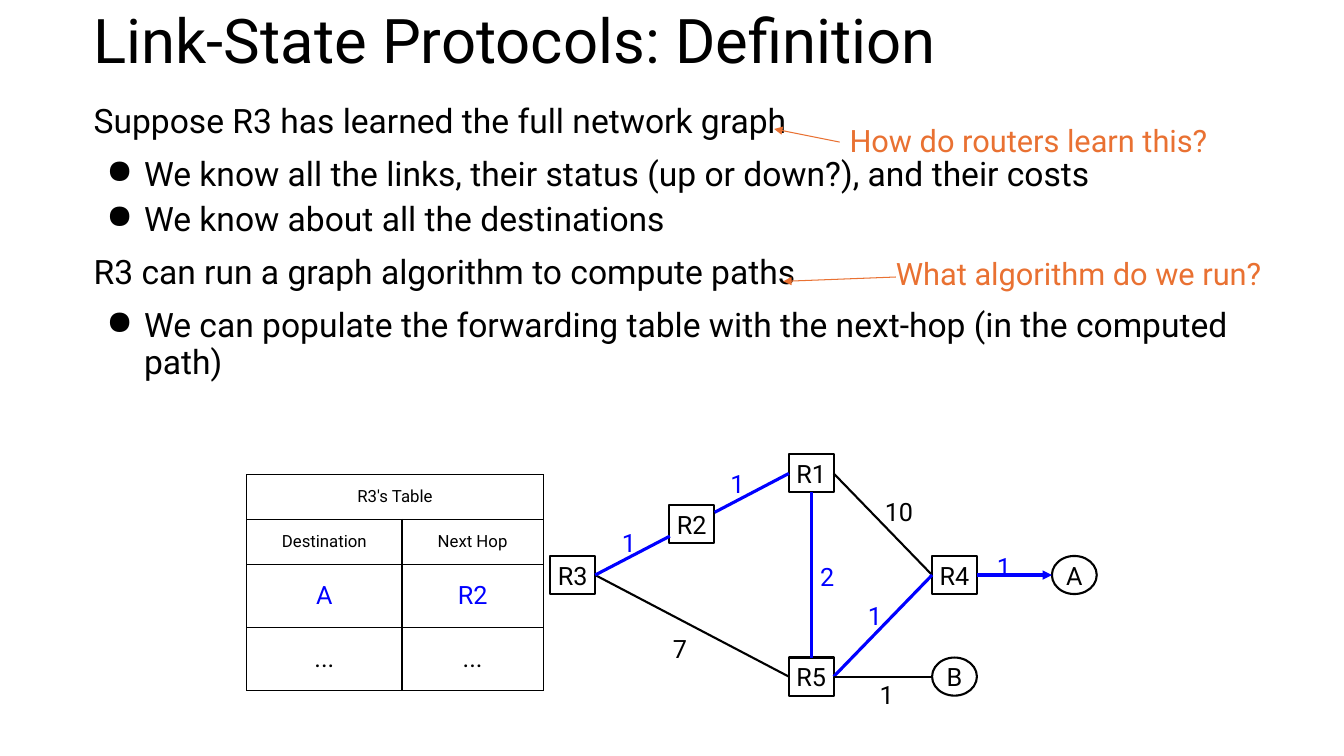
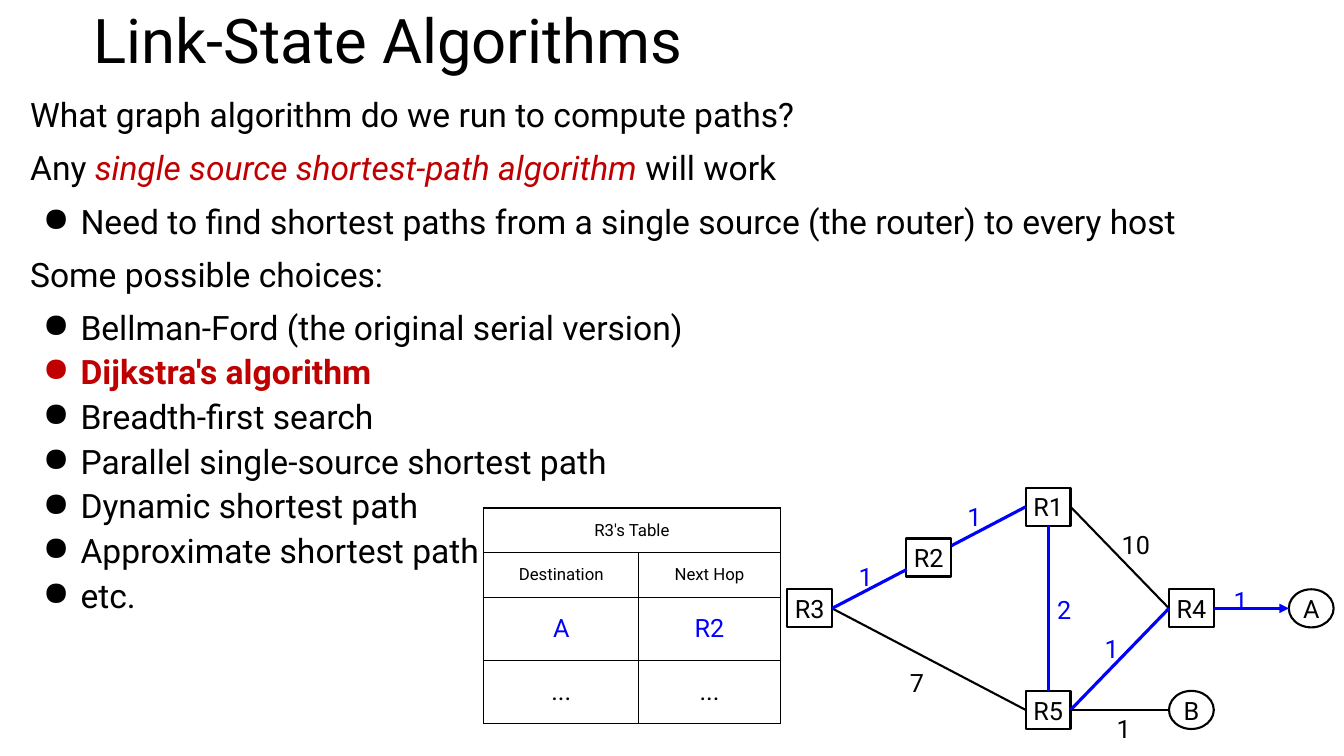
from lxml import etree
from pptx import Presentation
from pptx.dml.color import RGBColor
from pptx.enum.shapes import MSO_CONNECTOR, MSO_SHAPE
from pptx.enum.text import MSO_ANCHOR, MSO_AUTO_SIZE, PP_ALIGN
from pptx.oxml.ns import qn
from pptx.util import Cm, Pt

BLACK, WHITE, BLUE = "000000", "FFFFFF", "0000FF"
ORANGE, RED = "E97132", "C00000"
TOP, LEFT, BOTTOM, RIGHT = range(4)

# Network layout, in cm from the top left corner of the forwarding table
NODE_W, NODE_H = 1.13, 0.96
COLUMNS = [7.65, 10.65, 13.66, 17.27, 20.29]
ROW_TOP, ROW_STEP = -0.51, 1.28
ROUTERS = {"R3": (0, 2), "R2": (1, 1), "R1": (2, 0), "R5": (2, 4), "R4": (3, 2)}
HOSTS = {"A": (4, 2), "B": (3, 4)}
# Each end is a node with its side, or a point
LINKS = [
    ((11.79, 0.95), ("R1", LEFT), BLUE),
    (("R3", RIGHT), ("R5", LEFT), BLACK),
    (("R5", TOP), ("R1", BOTTOM), BLUE),
    (("R4", LEFT), ("R1", RIGHT), BLACK),
    (("R5", RIGHT), ("R4", LEFT), BLUE),
    (("R3", RIGHT), (10.66, 1.55), BLUE),
    (("R4", RIGHT), ("A", LEFT), BLUE),
    (("R5", RIGHT), ("B", LEFT), BLACK),
]
COSTS = [
    ("1", 18.9, 1.83, BLUE), ("1", 9.45, 1.22, BLUE), ("1", 12.19, -0.28, BLUE),
    ("7", 10.74, 3.89, BLACK), ("2", 14.45, 2.06, BLUE), ("1", 15.65, 3.05, BLUE),
    ("10", 16.08, 0.43, BLACK), ("1", 15.95, 5.05, BLACK),
]
TABLE_COLUMNS = [3.91, 3.56]
# Height, text size, colour and cells of each row
TABLE_ROWS = [
    (1.13, 12, BLACK, ["R3's Table", ""]),
    (1.13, 12, BLACK, ["Destination", "Next Hop"]),
    (1.59, 18, BLUE, ["A", "R2"]),
    (1.59, 18, BLACK, ["...", "..."]),
]


def colour(hex_code):
    return RGBColor.from_string(hex_code)


def write(paragraph, text, size=18, color=BLACK, bold=False, italic=False,
          align=PP_ALIGN.LEFT, spacing=None, before=0, after=0):
    """Add a run to a paragraph and set the paragraph's format."""
    run = paragraph.add_run()
    run.text = text
    font = run.font
    font.name, font.size, font.bold, font.italic = "Roboto", Pt(size), bold, italic
    font.color.rgb = colour(color)
    paragraph.alignment = align
    paragraph.line_spacing = spacing
    paragraph.space_before, paragraph.space_after = Pt(before), Pt(after)


def set_bullet(paragraph):
    properties = paragraph._p.get_or_add_pPr()
    properties.set("marL", str(Cm(1.27)))
    properties.set("indent", str(-Cm(0.95)))
    etree.SubElement(properties, qn("a:buChar")).set("char", "●")


def set_frame(frame, inset=0.0, anchor=MSO_ANCHOR.TOP):
    frame.word_wrap = True
    frame.auto_size = MSO_AUTO_SIZE.NONE
    frame.vertical_anchor = anchor
    frame.margin_left = frame.margin_right = Cm(inset)
    frame.margin_top = frame.margin_bottom = Cm(inset)
    return frame


def set_borders(cell):
    properties = cell._tc.get_or_add_tcPr()
    for position, side in enumerate(("lnL", "lnR", "lnT", "lnB")):
        border = etree.Element(qn("a:" + side), w=str(Pt(1)))
        fill = etree.SubElement(border, qn("a:solidFill"))
        etree.SubElement(fill, qn("a:srgbClr")).set("val", BLACK)
        properties.insert(position, border)


class Deck:
    """Holds the shared style and the slide being built."""

    def __init__(self):
        self.presentation = Presentation()
        self.presentation.slide_width = Cm(33.87)
        self.presentation.slide_height = Cm(19.05)
        self.slide = None

    def add_slide(self, title):
        layout = self.presentation.slide_layouts[5]
        self.slide = self.presentation.slides.add_slide(layout)
        heading = self.slide.shapes.title
        heading.left, heading.top = Cm(2.11), Cm(0)
        heading.width, heading.height = Cm(29.64), Cm(2.31)
        frame = set_frame(heading.text_frame, inset=0.25)
        write(frame.paragraphs[0], title, size=44, spacing=0.9)

    def text_box(self, left, top, width, height, inset=0.0):
        box = self.slide.shapes.add_textbox(Cm(left), Cm(top), Cm(width), Cm(height))
        return set_frame(box.text_frame, inset)

    def body(self, left, top, height, entries):
        """Each entry is (is bullet, runs); a run is (text, format)."""
        frame = self.text_box(left, top, 29.64, height, inset=0.25)
        after_bullet = False
        for index, (is_bullet, runs) in enumerate(entries):
            paragraph = frame.add_paragraph() if index else frame.paragraphs[0]
            before = 0 if is_bullet and after_bullet else 6
            for text, style in runs:
                write(paragraph, text, size=24, spacing=0.9, before=before, after=6, **style)
            if is_bullet:
                set_bullet(paragraph)
            after_bullet = is_bullet

    def line(self, start, end, color, width, arrow=False):
        points = [Cm(value) for value in (*start, *end)]
        connector = self.slide.shapes.add_connector(MSO_CONNECTOR.STRAIGHT, *points)
        connector.line.color.rgb = colour(color)
        connector.line.width = Pt(width)
        if arrow:
            outline = connector.line._get_or_add_ln()
            etree.SubElement(outline, qn("a:tailEnd")).set("type", "triangle")
        etree.SubElement(connector._element.spPr, qn("a:effectLst"))
        return connector

    def question(self, text, left, top, width, arrow_start, arrow_end):
        self.line(arrow_start, arrow_end, ORANGE, 0.75, arrow=True)
        frame = self.text_box(left, top, width, 0.94)
        write(frame.paragraphs[0], text, size=22, color=ORANGE)

    def node(self, name, left, top, kind):
        node = self.slide.shapes.add_shape(kind, Cm(left), Cm(top), Cm(NODE_W), Cm(NODE_H))
        node.shadow.inherit = False
        node.fill.solid()
        node.fill.fore_color.rgb = colour(WHITE)
        node.line.color.rgb = colour(BLACK)
        node.line.width = Pt(1.5)
        frame = set_frame(node.text_frame, anchor=MSO_ANCHOR.MIDDLE)
        write(frame.paragraphs[0], name, align=PP_ALIGN.CENTER)
        return node

    def forwarding_table(self, left, top):
        height = sum(row[0] for row in TABLE_ROWS)
        table = self.slide.shapes.add_table(
            len(TABLE_ROWS), len(TABLE_COLUMNS), Cm(left), Cm(top),
            Cm(sum(TABLE_COLUMNS)), Cm(height)).table
        table.first_row = table.horz_banding = False
        for column, width in zip(table.columns, TABLE_COLUMNS):
            column.width = Cm(width)
        table.cell(0, 0).merge(table.cell(0, 1))
        for row, (height, size, color, texts) in zip(table.rows, TABLE_ROWS):
            row.height = Cm(height)
            for cell, text in zip(row.cells, texts):
                cell.fill.background()
                set_borders(cell)
                cell.vertical_anchor = MSO_ANCHOR.MIDDLE
                cell.margin_left = cell.margin_right = Cm(0)
                cell.margin_top = cell.margin_bottom = Cm(0.05)
                if text:
                    write(cell.text_frame.paragraphs[0], text, size=size,
                          color=color, align=PP_ALIGN.CENTER)

    def network(self, left, top):
        """Draw the forwarding table with the graph to its right."""
        corners, routers = {}, {}
        for name, (column, row) in (ROUTERS | HOSTS).items():
            corners[name] = (left + COLUMNS[column], top + ROW_TOP + ROW_STEP * row)
            if name in ROUTERS:
                routers[name] = self.node(name, *corners[name], MSO_SHAPE.RECTANGLE)
            else:
                self.node(name, *corners[name], MSO_SHAPE.OVAL)

        def locate(end):
            if end[0] not in corners:
                return left + end[0], top + end[1]
            x, y = corners[end[0]]
            across, down = {TOP: (0.5, 0), LEFT: (0, 0.5),
                            BOTTOM: (0.5, 1), RIGHT: (1, 0.5)}[end[1]]
            return x + NODE_W * across, y + NODE_H * down

        for start, end, color in LINKS:
            link = self.line(locate(start), locate(end), color,
                             2.25 if color == BLUE else 1.5, arrow=end[0] == "A")
            if start[0] in routers:
                link.begin_connect(routers[start[0]], start[1])
            if end[0] in routers:
                link.end_connect(routers[end[0]], end[1])

        for cost, x, y, color in COSTS:
            frame = self.text_box(left + x, top + y, 0.56 if len(cost) == 1 else 0.94, 0.74)
            write(frame.paragraphs[0], cost, color=color, spacing=1.15, before=6)
        self.forwarding_table(left, top)


def plain(text):
    return False, [(text, {})]


def bullet(text, **style):
    return True, [(text, style)]


def main():
    deck = Deck()

    # Definition
    deck.add_slide("Link-State Protocols: Definition")
    deck.body(2.11, 2.39, 8.05, [
        plain("Suppose R3 has learned the full network graph"),
        bullet("We know all the links, their status (up or down?), and their costs"),
        bullet("We know about all the destinations"),
        plain("R3 can run a graph algorithm to compute paths"),
        bullet("We can populate the forwarding table with the next-hop (in the computed path)"),
    ])
    deck.question("How do routers learn this?", 21.41, 3.07, 9.55,
                  (21.16, 3.58), (19.51, 3.25))
    deck.question("What algorithm do we run?", 22.58, 6.43, 9.93,
                  (22.58, 6.98), (19.74, 7.09))
    deck.network(6.22, 11.96)

    # Algorithms
    deck.add_slide("Link-State Algorithms")
    deck.body(0.51, 2.24, 13.59, [
        plain("What graph algorithm do we run to compute paths?"),
        (False, [("Any ", {}),
                 ("single source shortest-path algorithm ", {"color": RED, "italic": True}),
                 ("will work", {})]),
        bullet("Need to find shortest paths from a single source (the router) to every host"),
        plain("Some possible choices:"),
        bullet("Bellman-Ford (the original serial version)"),
        bullet("Dijkstra's algorithm", color=RED, bold=True),
        bullet("Breadth-first search"),
        bullet("Parallel single-source shortest path"),
        bullet("Dynamic shortest path"),
        bullet("Approximate shortest path"),
        bullet("etc."),
    ])
    deck.network(12.19, 12.8)

    deck.presentation.save("out.pptx")


if __name__ == "__main__":
    main()
